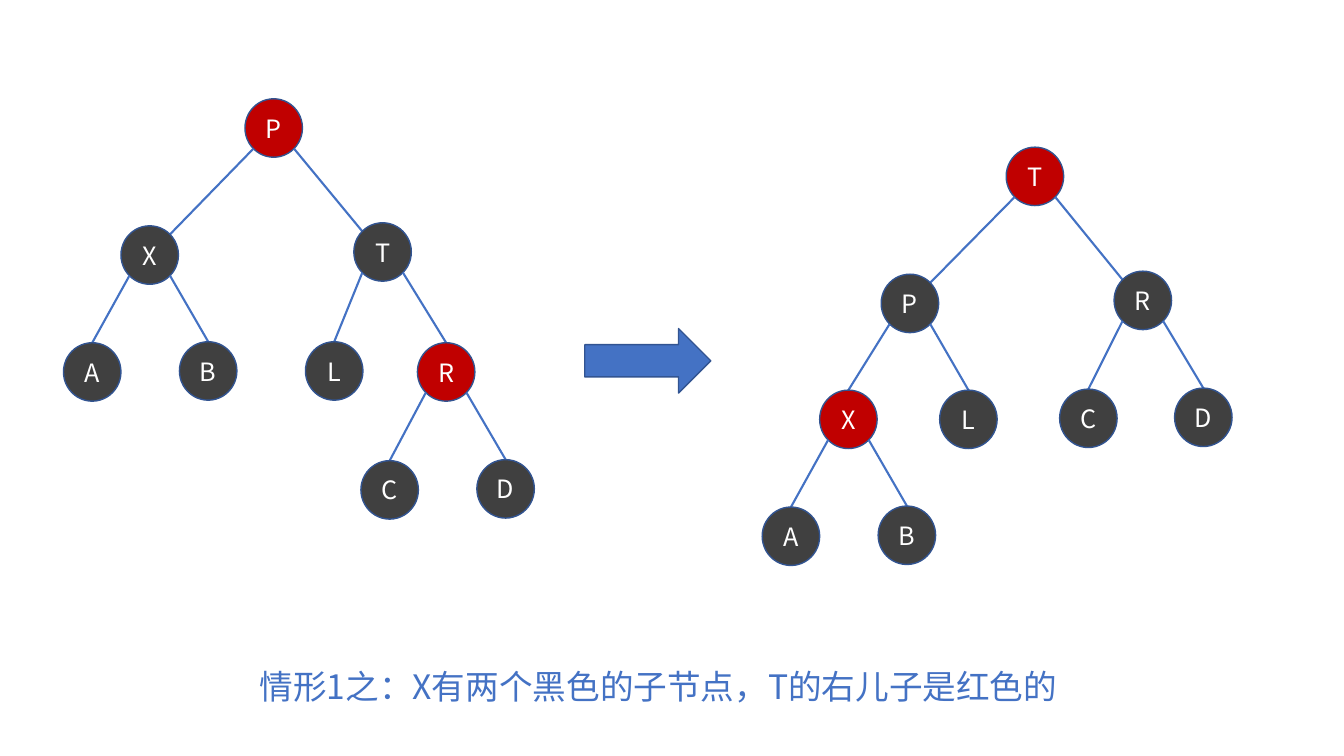
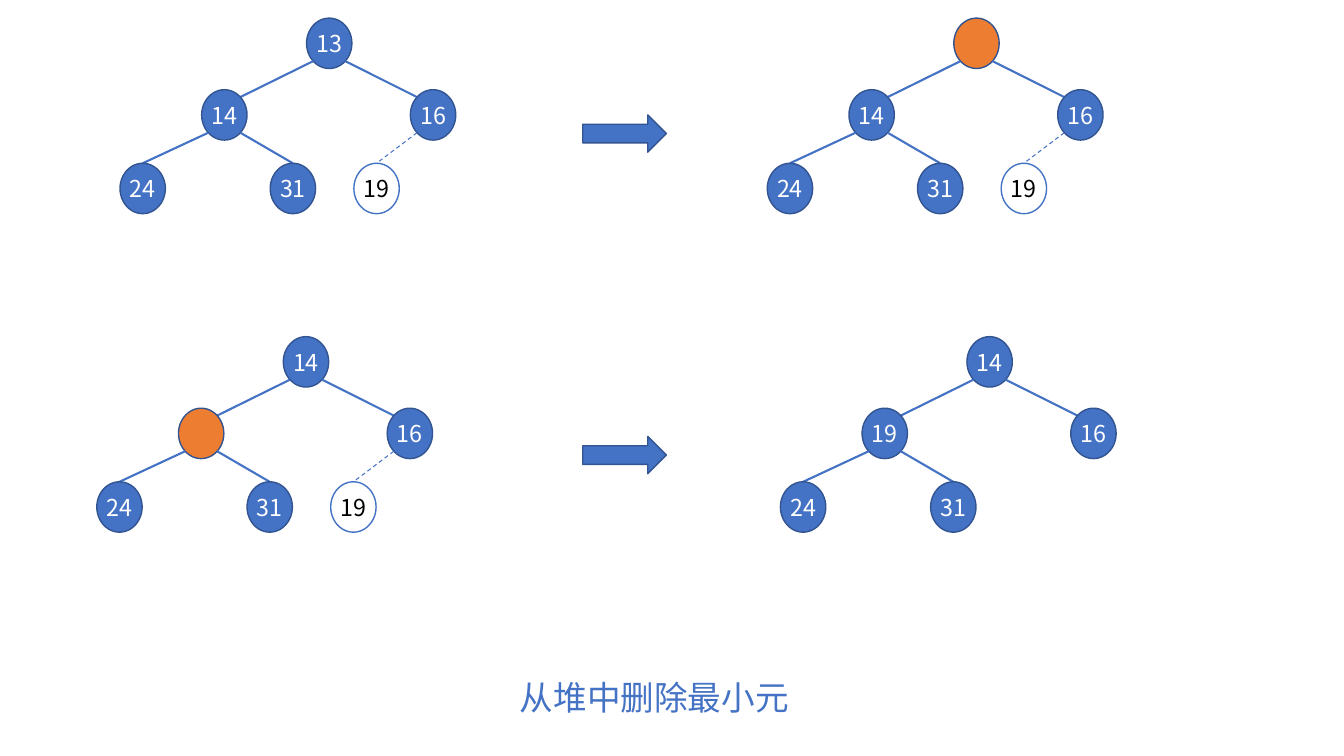
from math import copysign, sqrt

from lxml import etree
from pptx import Presentation
from pptx.dml.color import RGBColor
from pptx.enum.dml import MSO_LINE
from pptx.enum.shapes import MSO_CONNECTOR, MSO_SHAPE
from pptx.enum.text import MSO_ANCHOR, MSO_AUTO_SIZE, PP_ALIGN
from pptx.oxml.ns import qn
from pptx.util import Inches, Pt

OVAL, ARROW = MSO_SHAPE.OVAL, MSO_SHAPE.RIGHT_ARROW
STRAIGHT = MSO_CONNECTOR.STRAIGHT
DASH = MSO_LINE.DASH
MIDDLE = MSO_ANCHOR.MIDDLE
CENTER = PP_ALIGN.CENTER
GROW = MSO_AUTO_SIZE.SHAPE_TO_FIT_TEXT

FONT = "Noto Sans CJK SC"
COLORS = {
    "blue": "4472C4",
    "outline": "325491",
    "black": "404040",
    "red": "C00000",
    "orange": "ED7D31",
    "white": "FFFFFF",
    "text": "000000",
}
NODE_STYLES = {
    "black": ("black", "outline", "white"),
    "red": ("red", "outline", "white"),
    "heap": ("blue", "outline", "white"),
    "hole": ("orange", "outline", "white"),
    "ghost": ("white", "blue", "text"),
}
DIAGONAL = sqrt(1 / 8)

BEFORE_ROTATION = [
    ("P", "red", 0, 0, None),
    ("X", "black", -1.23, 1.26, 0),
    ("T", "black", 1.08, 1.23, 0),
    ("A", "black", -1.8, 2.42, 1),
    ("B", "black", -0.65, 2.41, 1),
    ("L", "black", 0.6, 2.41, 2),
    ("R", "red", 1.71, 2.42, 2),
    ("C", "black", 1.15, 3.59, 6),
    ("D", "black", 2.3, 3.58, 6),
]
AFTER_ROTATION = [
    ("T", "red", 0, 0, None),
    ("P", "black", -1.24, 1.26, 0),
    ("R", "black", 1.07, 1.23, 0),
    ("X", "red", -1.85, 2.41, 1),
    ("L", "black", -0.66, 2.41, 1),
    ("C", "black", 0.53, 2.4, 2),
    ("D", "black", 1.67, 2.39, 2),
    ("A", "black", -2.42, 3.57, 3),
    ("B", "black", -1.27, 3.56, 3),
]
HEAP_SLOTS = [(0, 0), (-1.04, 0.71), (1.03, 0.71),
              (-1.85, 1.44), (-0.36, 1.44), (0.47, 1.44)]
HEAPS = [
    (3.04, 0.18, ["13", "14", "16", "24", "31", "19"]),
    (9.46, 0.18, ["", "14", "16", "24", "31", "19"]),
    (2.81, 3.34, ["14", "", "16", "24", "31", "19"]),
    (9.59, 3.34, ["14", "19", "16", "24", "31"]),
]


def rgb(name):
    return RGBColor.from_string(COLORS[name])


def write_text(tf, text, size=18, color="white", anchor=None, margin=None):
    if anchor is not None:
        tf.vertical_anchor = anchor
    if margin is not None:
        tf.margin_left = tf.margin_right = Inches(margin)
        tf.margin_top = tf.margin_bottom = Inches(margin)
    p = tf.paragraphs[0]
    p.alignment = CENTER
    r = p.add_run()
    r.text = text
    r.font.size = Pt(size)
    r.font.name = FONT
    r.font.color.rgb = rgb(color)
    etree.SubElement(r.font._element, qn("a:ea")).set("typeface", FONT)


def add_filled(s, kind, x, y, w, h, fill="blue", line="outline"):
    sp = s.shapes.add_shape(kind, Inches(x), Inches(y), Inches(w), Inches(h))
    sp.shadow.inherit = False
    sp.fill.solid()
    sp.fill.fore_color.rgb = rgb(fill)
    sp.line.color.rgb = rgb(line)
    sp.line.width = Pt(1)
    return sp


def add_node(s, x, y, w, h, label, style, size):
    fill, line, color = NODE_STYLES[style]
    sp = add_filled(s, OVAL, x, y, w, h, fill, line)
    if label:
        tf = sp.text_frame
        tf.word_wrap = False
        write_text(tf, label, size=size, color=color, anchor=MIDDLE, margin=0)


def add_edge(s, x1, y1, x2, y2, dashed):
    cxn = s.shapes.add_connector(
        STRAIGHT, Inches(x1), Inches(y1), Inches(x2), Inches(y2))
    cxn.line.color.rgb = rgb("blue")
    cxn.line.width = Pt(0.75 if dashed else 1.5)
    if dashed:
        cxn.line.dash_style = DASH
    etree.SubElement(cxn._element.spPr, qn("a:effectLst"))


def add_tree(s, left, top, nodes, w, h, size):
    for label, style, dx, dy, parent in nodes:
        x, y = left + dx, top + dy
        if parent is not None:
            px, py = left + nodes[parent][2], top + nodes[parent][3]
            reach = copysign(w * DIAGONAL, x - px)
            end_x, end_y = x + w / 2, y
            if parent == 0:
                end_x -= reach
                end_y += h * (0.5 - DIAGONAL)
            add_edge(s, px + w / 2 + reach, py + h * (0.5 + DIAGONAL),
                     end_x, end_y, style == "ghost")
        add_node(s, x, y, w, h, label, style, size)


def add_heap(s, left, top, labels):
    nodes = []
    for i, (label, (dx, dy)) in enumerate(zip(labels, HEAP_SLOTS)):
        style = "hole" if not label else "ghost" if i == 5 else "heap"
        nodes.append((label, style, dx, dy, (i - 1) // 2 if i else None))
    add_tree(s, left, top, nodes, 0.45, 0.5, 16.6)


def add_caption(s, x, y, w, text):
    tb = s.shapes.add_textbox(Inches(x), Inches(y), Inches(w), Inches(0.5))
    tf = tb.text_frame
    tf.word_wrap = True
    tf.auto_size = GROW
    write_text(tf, text, size=24, color="blue")


def build_rotation(s):
    for left, top, nodes in ((2.43, 0.98, BEFORE_ROTATION),
                             (9.98, 1.46, AFTER_ROTATION)):
        add_tree(s, left, top, nodes, 0.57, 0.58, 18)
    add_filled(s, ARROW, 5.8, 3.26, 1.25, 0.64)
    add_caption(s, 0.38, 6.56, 12.3,
                "情形1之：X有两个黑色的子节点，T的右儿子是红色的")


def build_heap_deletion(s):
    for left, top, labels in HEAPS:
        add_heap(s, left, top, labels)
    for y in (1.14, 4.33):
        add_filled(s, ARROW, 5.78, y, 0.83, 0.37)
    add_caption(s, 1.74, 6.67, 9.5, "从堆中删除最小元")


def main():
    prs = Presentation()
    prs.slide_width, prs.slide_height = Inches(13.33), Inches(7.5)
    for build in (build_rotation, build_heap_deletion):
        build(prs.slides.add_slide(prs.slide_layouts[6]))
    prs.save("out.pptx")


if __name__ == "__main__":
    main()
